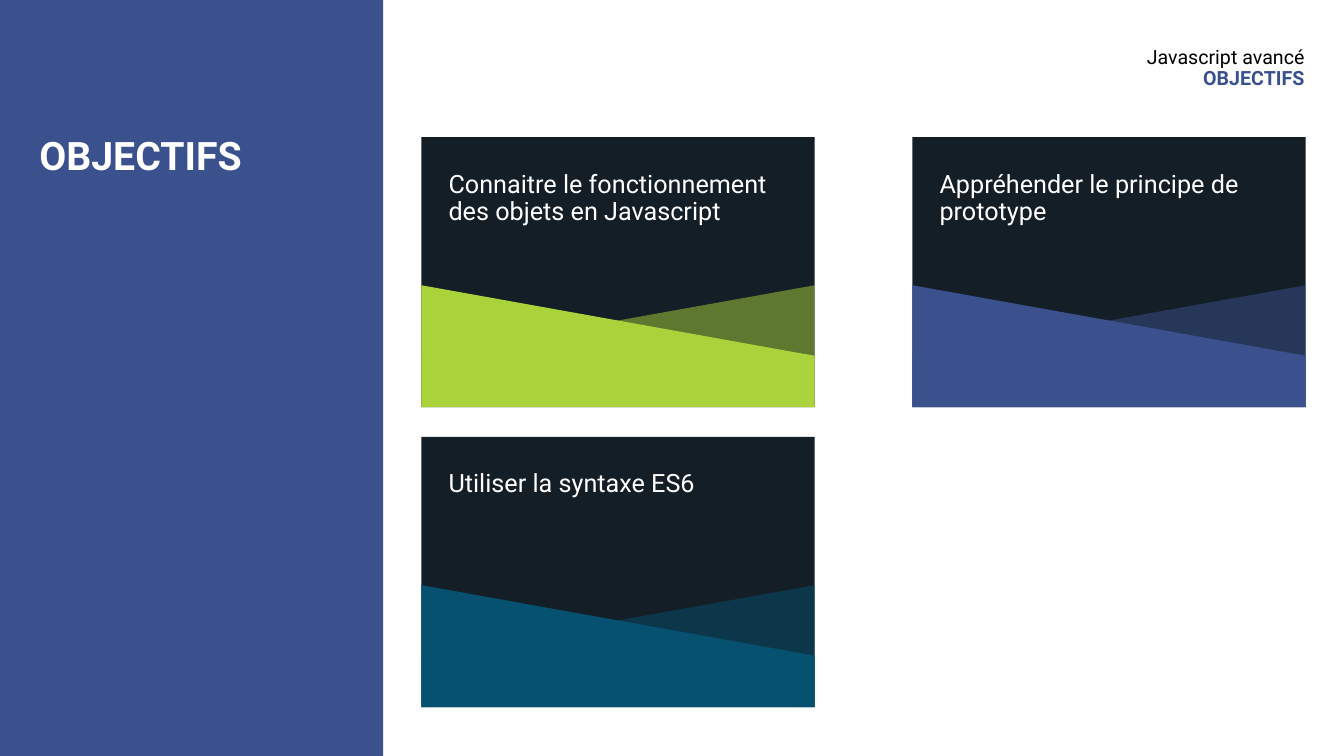
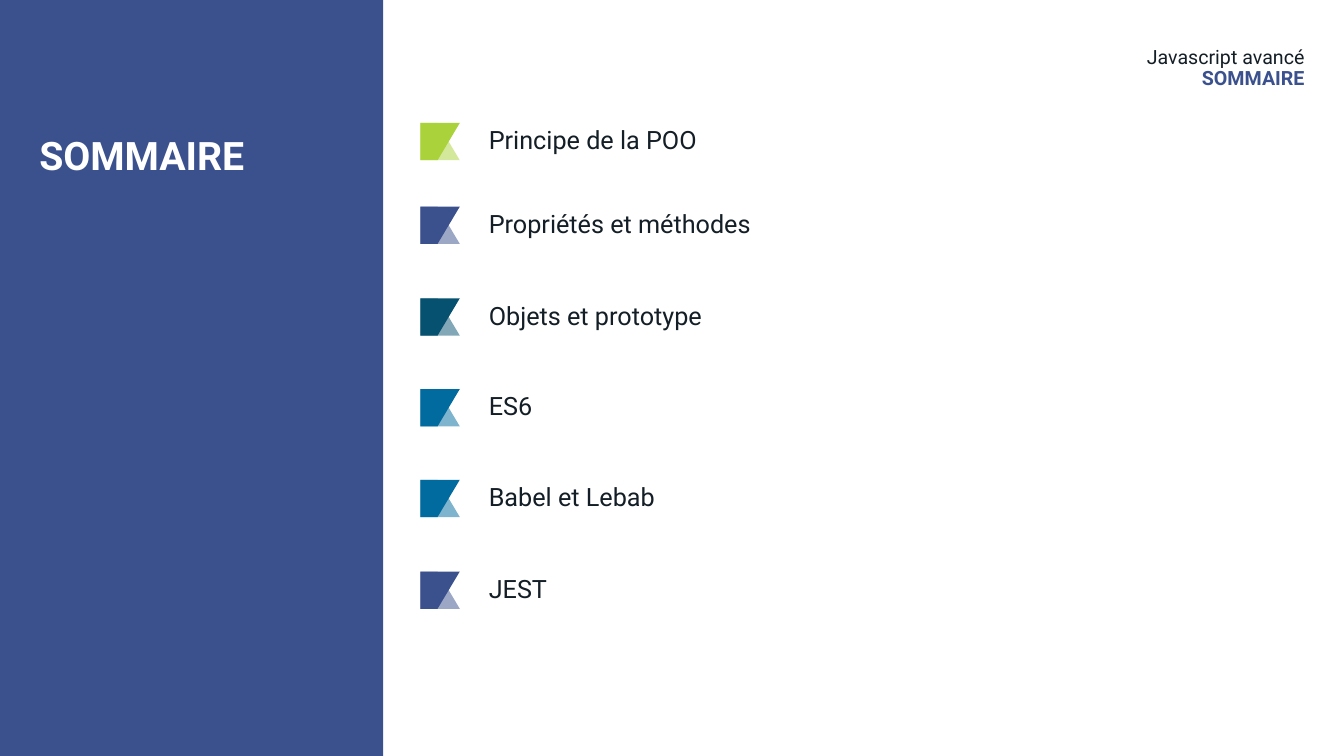
from lxml import etree
from pptx import Presentation
from pptx.dml.color import RGBColor
from pptx.enum import shapes, text
from pptx.oxml.ns import qn
from pptx.util import Inches, Pt

# Shared style
FONT = "Roboto"
WHITE, BLACK, DARK = "FFFFFF", "000000", "141E26"
GREEN, INDIGO, TEAL, BLUE = "AAD23B", "3B518E", "06516F", "016B9F"
COURSE = "Javascript avancé"
LEFT = 4.18

# Content: (text, colour, column, row)
GOALS = [
    ("Connaitre le fonctionnement des objets en Javascript", GREEN, 0, 0),
    ("Appréhender le principe de prototype", INDIGO, 1, 0),
    ("Utiliser la syntaxe ES6", TEAL, 0, 1),
]
# Content: (text, colour, top)
TOPICS = [
    ("Principe de la POO", GREEN, 1.22),
    ("Propriétés et méthodes", INDIGO, 2.05),
    ("Objets et prototype", TEAL, 2.96),
    ("ES6", BLUE, 3.86),
    ("Babel et Lebab", BLUE, 4.76),
    ("JEST", INDIGO, 5.67),
]

CARD_WIDTH, CARD_HEIGHT, CARD_TOP = 3.9, 2.68, 1.36
COLUMN_STEP, ROW_STEP = 4.87, 2.975
MARK_WIDTH, MARK_HEIGHT = 0.39, 0.37


def rgb(colour):
    return RGBColor.from_string(colour)


def paint(shape, colour, opacity=100):
    shape.shadow.inherit = False
    shape.fill.solid()
    shape.fill.fore_color.rgb = rgb(colour)
    shape.line.fill.background()
    if opacity < 100:
        fill = shape._element.spPr.find(qn("a:solidFill"))
        etree.SubElement(fill[0], qn("a:alpha"), val=str(opacity * 1000))


def add_rect(page, left, top, width, height, colour):
    box = page.shapes.add_shape(shapes.MSO_SHAPE.RECTANGLE, Inches(left),
                                Inches(top), Inches(width), Inches(height))
    paint(box, colour)


def add_polygon(page, points, colour, opacity=100):
    corners = [(Inches(x), Inches(y)) for x, y in points]
    builder = page.shapes.build_freeform(*corners[0], scale=1.0)
    builder.add_line_segments(corners[1:], close=True)
    paint(builder.convert_to_shape(), colour, opacity)


def add_text(page, left, top, width, height, lines, size, inset=True,
             align=text.PP_ALIGN.LEFT):
    """Each line is (wording, colour, bold)."""
    box = page.shapes.add_textbox(Inches(left), Inches(top),
                                  Inches(width), Inches(height))
    frame = box.text_frame
    frame.word_wrap = True
    if not inset:
        frame.margin_left = frame.margin_right = 0
        frame.margin_top = frame.margin_bottom = 0
    frame.text = "\n".join(wording for wording, _, _ in lines)
    for para, (_, colour, bold) in zip(frame.paragraphs, lines):
        para.alignment = align
        para.line_spacing = 0.9
        for span in para.runs:
            span.font.name = FONT
            span.font.size = Pt(size)
            span.font.bold = bold
            span.font.color.rgb = rgb(colour)


def add_page(deck, title, course_colour):
    """Page with the side band, its title and the header at top right."""
    page = deck.slides.add_slide(deck.slide_layouts[6])
    add_rect(page, 0, 0, 3.8, 7.5, INDIGO)
    add_text(page, 0.39, 1.36, 3.12, 4.84, [(title, WHITE, True)], 28,
             inset=False)
    add_text(page, LEFT, 0.47, 8.76, 0.59,
             [(COURSE, course_colour, False), (title, INDIGO, True)], 14,
             inset=False, align=text.PP_ALIGN.RIGHT)
    return page


def add_card(page, wording, colour, column, row):
    left = LEFT + column * COLUMN_STEP
    top = CARD_TOP + row * ROW_STEP
    right, bottom = left + CARD_WIDTH, top + CARD_HEIGHT
    high, low = top + 1.47, top + 2.17
    add_rect(page, left, top, CARD_WIDTH, CARD_HEIGHT, DARK)
    # Two crossing slopes, the pale one behind
    for near, far, opacity in ((left, right, 50), (right, left, 100)):
        add_polygon(page, [(near, low), (far, high), (far, bottom),
                           (near, bottom)], colour, opacity)
    add_text(page, left + 0.17, top + 0.29, 3.52, 0.65,
             [(wording, WHITE, False)], 18)


def add_topic(page, wording, colour, top):
    left, bottom = LEFT - 0.01, top + MARK_HEIGHT
    # Two crossing slanted flags, the pale one behind
    for wide, narrow, opacity in ((bottom, top, 50), (top, bottom, 100)):
        add_polygon(page, [(left + 0.17, narrow), (left + MARK_WIDTH, wide),
                           (left, wide), (left, narrow)], colour, opacity)
    add_text(page, 4.75, top, 6.77, MARK_HEIGHT, [(wording, DARK, False)], 18)


def main():
    deck = Presentation()
    deck.slide_width, deck.slide_height = Inches(13.33), Inches(7.5)

    goals_page = add_page(deck, "OBJECTIFS", BLACK)
    for goal in GOALS:
        add_card(goals_page, *goal)

    topics_page = add_page(deck, "SOMMAIRE", DARK)
    for topic in TOPICS:
        add_topic(topics_page, *topic)

    deck.save("out.pptx")


if __name__ == "__main__":
    main()
